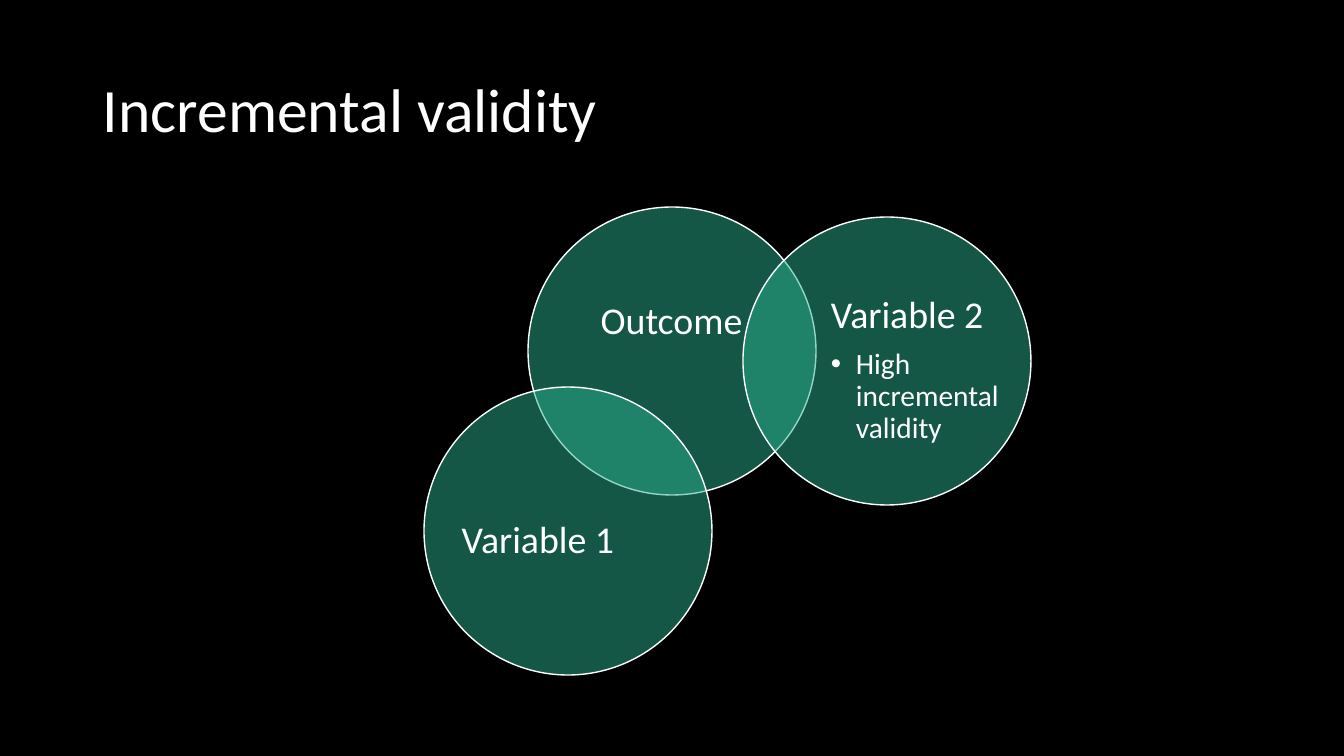
from dataclasses import dataclass

from lxml import etree
from pptx import Presentation
from pptx import util as u
from pptx.dml.color import RGBColor
from pptx.enum import shapes, text
from pptx.oxml import ns


@dataclass(frozen=True)
class Theme:
    background: str = "000000"
    ink: str = "FFFFFF"
    circle: str = "29AF8C"
    circle_opacity: int = 50
    font: str = "Calibri"
    title: int = 44
    label: int = 27
    detail: int = 21


EMU_PER_PX = 914400 / 100.8
DIAMETER = 288


def px(length):
    return u.Emu(round(length * EMU_PER_PX))


def write(paragraph, wording, *, theme, size, align=text.PP_ALIGN.LEFT, after=0, bullet_indent=0):
    if bullet_indent:
        properties = paragraph._p.get_or_add_pPr()
        properties.set("marL", str(px(bullet_indent)))
        properties.set("indent", str(-px(bullet_indent)))
        etree.SubElement(properties, ns.qn("a:buFont")).set("typeface", "Arial")
        etree.SubElement(properties, ns.qn("a:buChar")).set("char", "•")
    paragraph.alignment = align
    paragraph.line_spacing = 0.9
    paragraph.space_after = u.Pt(after)
    run = paragraph.add_run()
    run.text = wording
    run.font.name = theme.font
    run.font.size = u.Pt(size)
    run.font.color.rgb = RGBColor.from_string(theme.ink)


class VennSlide:
    """Draws a Venn diagram slide in one theme."""

    def __init__(self, slide, theme):
        self.slide = slide
        self.theme = theme
        backdrop = slide.background.fill
        backdrop.solid()
        backdrop.fore_color.rgb = RGBColor.from_string(theme.background)

    def circle(self, left, top):
        disc = self.slide.shapes.add_shape(
            shapes.MSO_SHAPE.OVAL, px(left), px(top), px(DIAMETER), px(DIAMETER))
        disc.shadow.inherit = False
        disc.fill.solid()
        disc.fill.fore_color.rgb = RGBColor.from_string(self.theme.circle)
        tint = disc.fill._xPr.find(".//" + ns.qn("a:srgbClr"))
        etree.SubElement(tint, ns.qn("a:alpha")).set("val", str(self.theme.circle_opacity * 1000))
        disc.line.color.rgb = RGBColor.from_string(self.theme.ink)
        disc.line.width = u.Pt(1)

    def caption(self, box, lines, inset=(0, 0)):
        frame = self.slide.shapes.add_textbox(*map(px, box)).text_frame
        frame.word_wrap = True
        frame.vertical_anchor = text.MSO_ANCHOR.MIDDLE
        frame.margin_left = frame.margin_right = px(inset[0])
        frame.margin_top = frame.margin_bottom = px(inset[1])
        for index, (wording, style) in enumerate(lines):
            paragraph = frame.add_paragraph() if index else frame.paragraphs[0]
            write(paragraph, wording, theme=self.theme, **style)


def main():
    deck = Presentation()
    deck.slide_width, deck.slide_height = px(1344), px(756)
    theme = Theme()
    venn = VennSlide(deck.slides.add_slide(deck.slide_layouts[6]), theme)
    centred = dict(size=theme.label, align=text.PP_ALIGN.CENTER)
    heading = dict(size=theme.label, after=9.45)
    finding = dict(size=theme.detail, bullet_indent=25)

    venn.caption((93, 40, 1159, 146), [("Incremental validity", dict(size=theme.title))], inset=(10, 5))
    variables = [
        ((528, 207), (566, 258, 211, 129), [("Outcome", centred)]),
        ((743, 217), (831, 291, 172, 158),
         [("Variable 2", heading), ("High incremental validity", finding)]),
        ((424, 387), (452, 462, 172, 158), [("Variable 1", centred)]),
    ]
    for corner, label_box, lines in variables:
        venn.circle(*corner)
        venn.caption(label_box, lines)
    deck.save("out.pptx")


if __name__ == "__main__":
    main()
